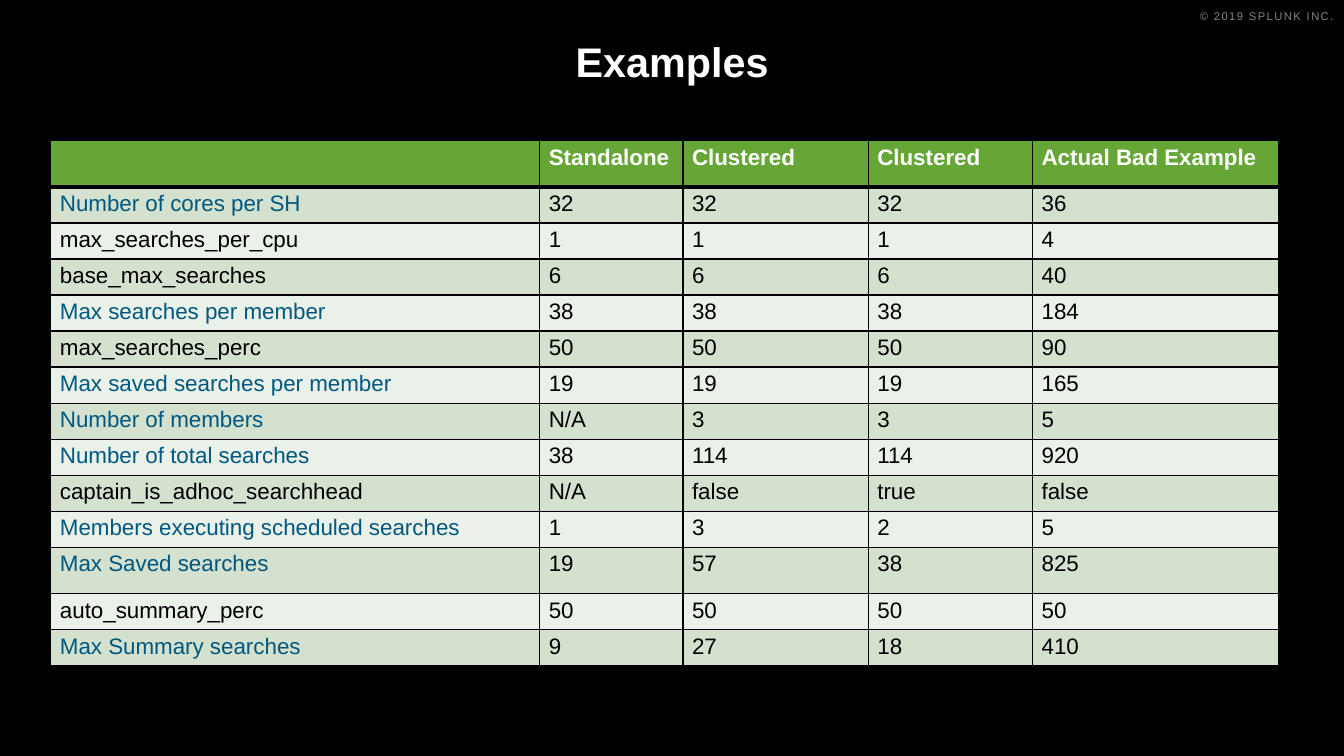
from dataclasses import dataclass

import pptx
import pptx.dml.color
import pptx.enum.text
import pptx.oxml.ns
import pptx.slide
import pptx.table
import pptx.text.text
import pptx.util
from lxml import etree

Cm = pptx.util.Cm
Pt = pptx.util.Pt
RGBColor = pptx.dml.color.RGBColor
PP_ALIGN = pptx.enum.text.PP_ALIGN
qn = pptx.oxml.ns.qn

BLACK = RGBColor(0x00, 0x00, 0x00)
WHITE = RGBColor(0xFF, 0xFF, 0xFF)
GREY = RGBColor(0x85, 0x85, 0x85)
BLUE = RGBColor(0x00, 0x58, 0x80)
GREEN = RGBColor(0x65, 0xA6, 0x37)
BANDS = (RGBColor(0xD3, 0xE1, 0xCE), RGBColor(0xEA, 0xF1, 0xE8))

HEADER_HEIGHT = 1.17
ROW_HEIGHT = 0.88
COLUMN_WIDTHS = (12.32, 3.61, 4.67, 4.14, 6.2)
HEADERS = ("", "Standalone", "Clustered", "Clustered", "Actual Bad Example")


@dataclass
class Row:
    label: str
    values: tuple[str, ...]
    height: float = ROW_HEIGHT

    @property
    def label_color(self) -> RGBColor:
        return BLACK if "_" in self.label else BLUE


ROWS = (
    Row("Number of cores per SH", ("32", "32", "32", "36")),
    Row("max_searches_per_cpu", ("1", "1", "1", "4")),
    Row("base_max_searches", ("6", "6", "6", "40")),
    Row("Max searches per member", ("38", "38", "38", "184")),
    Row("max_searches_perc", ("50", "50", "50", "90")),
    Row("Max saved searches per member", ("19", "19", "19", "165")),
    Row("Number of members", ("N/A", "3", "3", "5")),
    Row("Number of total searches", ("38", "114", "114", "920")),
    Row("captain_is_adhoc_searchhead", ("N/A", "false", "true", "false")),
    Row("Members executing scheduled searches", ("1", "3", "2", "5")),
    Row("Max Saved searches", ("19", "57", "38", "825"), HEADER_HEIGHT),
    Row("auto_summary_perc", ("50", "50", "50", "50")),
    Row("Max Summary searches", ("9", "27", "18", "410")),
)


def write(tf: pptx.text.text.TextFrame, text: str, *, size: float = 16,
          color: RGBColor = BLACK, bold: bool = False,
          align: PP_ALIGN = PP_ALIGN.LEFT, line_spacing: float = 1.0,
          tracking: float = 0) -> None:
    p = tf.paragraphs[0]
    p.alignment = align
    p.line_spacing = line_spacing
    if not text:
        return
    r = p.add_run()
    r.text = text
    r.font.name = "Arial"
    r.font.size = Pt(size)
    r.font.bold = bold
    r.font.color.rgb = color
    if tracking:
        r.font._element.set("spc", str(round(tracking * 100)))


def add_text_box(s: pptx.slide.Slide, left: float, top: float, width: float,
                 height: float) -> pptx.text.text.TextFrame:
    tf = s.shapes.add_textbox(Cm(left), Cm(top), Cm(width), Cm(height)).text_frame
    tf.word_wrap = True
    return tf


def set_borders(cell: pptx.table._Cell, top: float, bottom: float) -> None:
    tc_pr = cell._tc.get_or_add_tcPr()
    for side, width in (("L", 1), ("R", 1), ("T", top), ("B", bottom)):
        ln = etree.SubElement(tc_pr, qn(f"a:ln{side}"), w=str(Pt(width)))
        fill = etree.SubElement(ln, qn("a:solidFill"))
        etree.SubElement(fill, qn("a:srgbClr"), val=str(BLACK))


def fill_cell(cell: pptx.table._Cell, text: str, fill: RGBColor, color: RGBColor,
              *, bold: bool = False, top: float = 1, bottom: float = 1) -> None:
    cell.margin_left = cell.margin_right = Cm(0.23)
    cell.margin_top = Cm(0.11)
    cell.margin_bottom = Cm(0.12)
    set_borders(cell, top, bottom)
    cell.fill.solid()
    cell.fill.fore_color.rgb = fill
    write(cell.text_frame, text, color=color, bold=bold)


def add_search_table(s: pptx.slide.Slide) -> None:
    heights = [HEADER_HEIGHT] + [row.height for row in ROWS]
    table = s.shapes.add_table(len(heights), len(HEADERS), Cm(1.28), Cm(3.54),
                               Cm(sum(COLUMN_WIDTHS)), Cm(sum(heights))).table
    for column, width in zip(table.columns, COLUMN_WIDTHS):
        column.width = Cm(width)
    for table_row, height in zip(table.rows, heights):
        table_row.height = Cm(height)
    for j, header in enumerate(HEADERS):
        fill_cell(table.cell(0, j), header, GREEN, WHITE, bold=True, bottom=3)
    for i, row in enumerate(ROWS):
        for j, text in enumerate((row.label, *row.values)):
            fill_cell(table.cell(i + 1, j), text, BANDS[i % 2],
                      BLACK if j else row.label_color, top=1 if i else 3)


def main() -> None:
    prs = pptx.Presentation()
    prs.slide_width = Cm(33.87)
    prs.slide_height = Cm(19.05)
    s = prs.slides.add_slide(prs.slide_layouts[6])
    s.background.fill.solid()
    s.background.fill.fore_color.rgb = BLACK

    tf = add_text_box(s, 19.86, 0.1, 14, 0.6)
    write(tf, "© 2019 SPLUNK INC.", size=8, color=GREY,
          align=PP_ALIGN.RIGHT, tracking=1)

    tf = add_text_box(s, 1.27, 0.86, 31.34, 1.25)
    tf.margin_left = tf.margin_right = tf.margin_bottom = 0
    tf.margin_top = Cm(0.23)
    write(tf, "Examples", size=29.5, color=WHITE, bold=True,
          align=PP_ALIGN.CENTER, line_spacing=0.86)

    add_search_table(s)
    prs.save("out.pptx")


if __name__ == "__main__":
    main()
